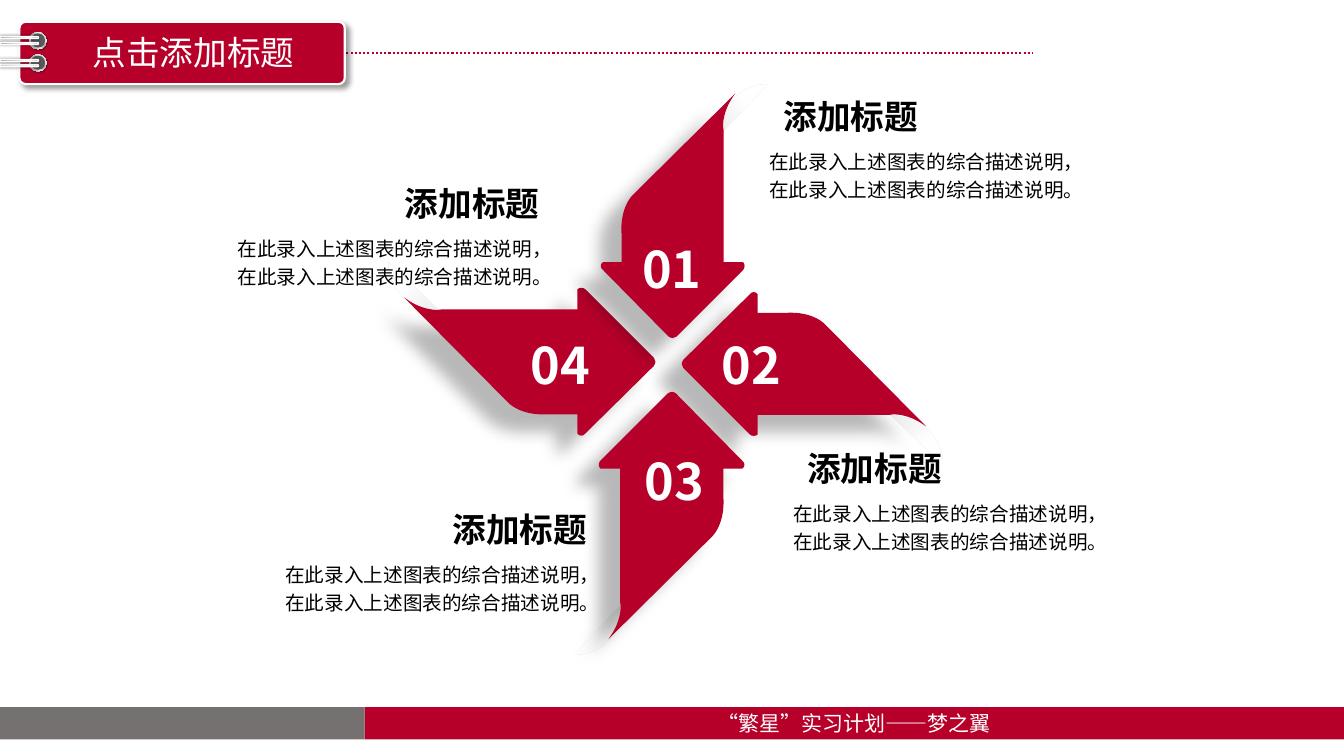
from dataclasses import dataclass
from math import cos, radians, sin

from pptx import Presentation
from pptx.dml.color import RGBColor
from pptx.enum import dml, shapes, text
from pptx.oxml import ns, parse_xml
from pptx.util import Cm, Pt

FONT = "Noto Sans CJK SC"
HEADING = "添加标题"
DESCRIPTION = "在此录入上述图表的综合描述说明，在此录入上述图表的综合描述说明。"
COLORS = {"red": "B6002A", "grey": "767171", "core": "595959", "white": "FFFFFF", "black": "000000"}

# Gradient stops: position, colour, opacity (positions and opacities in percent)
RING_STOPS = [(0, "FFFFFF", 100), (17, "A6A6A6", 100), (35, "F2F2F2", 100),
              (55, "A6A6A6", 100), (75, "F2F2F2", 100), (100, "A6A6A6", 100)]
WIRE_STOPS = [(0, "808080", 100), (23, "A6A6A6", 100), (52, "D9D9D9", 100),
              (74, "FFFFFF", 100), (100, "A6A6A6", 100)]
CURL_STOPS = [(0, "B0B0B0", 24), (59, "FFFFFF", 27)]

# Outlines of a wing pointing right: (x, y) is a corner,
# six numbers are a curve (two controls and its end).
ARROW = [(-.70, .71), (-.02, .04), (0, .01, 0, -.02, -.02, -.04), (-.70, -.72),
         (-.72, -.74, -.76, -.74, -.78, -.72), (-.78, -.52), (-2.13, -.52),
         (-2.13, -.52, -2.17, -.51, -2.23, -.52), (-2.35, -.54, -2.43, -.59, -2.50, -.64),
         (-1.47, .40), (-1.47, .40, -1.35, .54, -1.06, .52), (-.78, .52), (-.78, .71),
         (-.76, .74, -.72, .74, -.70, .71)]
CURL = [(0, 0), (-.53, -.50), (-.53, -.50, -.54, -.33, -.42, -.19),
        (-.40, -.16, -.38, -.14, -.35, -.12), (-.29, -.07, -.20, -.03, -.09, -.01),
        (-.06, 0, -.03, 0, 0, 0)]


@dataclass(frozen=True)
class Shadow:
    opacity: int
    blur: float
    distance: float
    angle: int


@dataclass(frozen=True)
class Wing:
    label: str
    direction: int  # 1 draws the outline pointing right, -1 pointing left
    rotation: int
    scale: float  # centimetres per outline unit
    tip: tuple[float, float]
    curl: tuple[float, float]
    number: tuple[float, float]
    heading: tuple[float, float]
    body: tuple[float, float]
    body_width: float
    curl_on_top: bool = False


TITLE_SHADOW = Shadow(40, 4, 3, 45)
RING_SHADOW = Shadow(40, 1, 1, 45)
WIRE_SHADOW = Shadow(40, 2, 0, 0)
WING_SHADOW = Shadow(28, 11.8, 19.7, 141)

WINGS = [
    Wing("04", 1, 0, 2.54, (16.53, 9.12), (11.13, 7.87), (13.13, 8.29), (9.6, 4.48), (5.74, 5.72), 8.38),
    Wing("02", -1, 0, 2.47, (17.17, 9.17), (22.45, 10.46), (17.93, 8.29), (19.74, 11.17),
         (19.74, 12.4), 8, curl_on_top=True),
    Wing("01", -1, 270, 2.47, (16.95, 8.53), (18.11, 3.43), (15.93, 5.87), (19.14, 2.29), (19.14, 3.53), 8),
    Wing("03", -1, 90, 2.5, (16.93, 9.86), (15.72, 15.16), (16, 11.23), (10.8, 12.7), (6.94, 13.94), 8.38),
]


def rgb(name: str) -> RGBColor:
    return RGBColor.from_string(COLORS[name])


def set_gradient(shape, stops: list, angle: int) -> None:
    shape.fill.gradient()
    properties = shape._element.spPr
    stop_xml = "".join(
        f'<a:gs pos="{position * 1000}"><a:srgbClr val="{color}">'
        f'<a:alpha val="{opacity * 1000}"/></a:srgbClr></a:gs>' for position, color, opacity in stops)
    gradient = parse_xml(
        f'<a:gradFill {ns.nsdecls("a")} rotWithShape="1"><a:gsLst>{stop_xml}</a:gsLst>'
        f'<a:lin ang="{angle * 60000}" scaled="0"/></a:gradFill>')
    properties.replace(properties.find(ns.qn("a:gradFill")), gradient)


def finish(shape, fill: str = "", line: str = "", line_width: float = 1, stops: list | None = None,
           gradient_angle: int = 0, shadow: Shadow | None = None) -> None:
    if stops:
        set_gradient(shape, stops, gradient_angle)
    else:
        shape.fill.solid()
        shape.fill.fore_color.rgb = rgb(fill)
    if line:
        shape.line.color.rgb = rgb(line)
        shape.line.width = Pt(line_width)
    else:
        shape.line.fill.background()
    shape.shadow.inherit = False
    if shadow:
        shape._element.spPr.find(ns.qn("a:effectLst")).append(parse_xml(
            f'<a:outerShdw {ns.nsdecls("a")} blurRad="{Pt(shadow.blur)}" dist="{Pt(shadow.distance)}" '
            f'dir="{shadow.angle * 60000}" algn="ctr" rotWithShape="0"><a:srgbClr val="{COLORS["black"]}">'
            f'<a:alpha val="{shadow.opacity * 1000}"/></a:srgbClr></a:outerShdw>'))


def add_preset(slide, kind, left: float, top: float, width: float, height: float,
               rotation: int = 0, corner: float | None = None, **style) -> None:
    shape = slide.shapes.add_shape(kind, Cm(left), Cm(top), Cm(width), Cm(height))
    shape.rotation = rotation
    if corner is not None:
        shape.adjustments[0] = corner
    finish(shape, **style)


def add_text(slide, content: str, left: float, top: float, width: float, height: float, *,
             size: float, color: str = "black", bold: bool = False, centered: bool = False,
             wrap: bool = True, spacing: float | None = None) -> None:
    box = slide.shapes.add_textbox(Cm(left), Cm(top), Cm(width), Cm(height))
    frame = box.text_frame
    frame.word_wrap = wrap
    frame.auto_size = text.MSO_AUTO_SIZE.SHAPE_TO_FIT_TEXT
    paragraph = frame.paragraphs[0]
    paragraph.alignment = text.PP_ALIGN.CENTER if centered else text.PP_ALIGN.LEFT
    if spacing:
        paragraph.line_spacing = spacing
    run = paragraph.add_run()
    run.text = content
    run.font.size, run.font.bold, run.font.name = Pt(size), bold, FONT
    run.font.color.rgb = rgb(color)
    run.font._element.append(parse_xml(f'<a:ea {ns.nsdecls("a")} typeface="{FONT}"/>'))


def add_outline(slide, outline: list, origin: tuple[float, float], wing: Wing, **style) -> None:
    origin_x, origin_y = Cm(origin[0]), Cm(origin[1])
    unit = wing.direction * Cm(wing.scale)

    def place(x: float, y: float) -> tuple[int, int]:
        return round(origin_x + unit * x), round(origin_y + unit * y)

    # Straight outline through the end of each segment
    ends = [place(*segment[-2:]) for segment in outline]
    builder = slide.shapes.build_freeform(*ends[0])
    builder.add_line_segments(ends[1:], close=True)
    shape = builder.convert_to_shape()

    # Curved segments
    lines = list(shape._element.iter(ns.qn("a:lnTo")))
    for segment, straight in zip(outline[1:], lines):
        if len(segment) == 6:
            points = [place(*segment[index:index + 2]) for index in (0, 2, 4)]
            point_xml = "".join(f'<a:pt x="{x - shape.left}" y="{y - shape.top}"/>' for x, y in points)
            straight.getparent().replace(straight, parse_xml(
                f'<a:cubicBezTo {ns.nsdecls("a")}>{point_xml}</a:cubicBezTo>'))

    # Turn about the origin instead of the shape's centre
    cosine, sine = cos(radians(wing.rotation)), sin(radians(wing.rotation))
    x = shape.left + shape.width / 2 - origin_x
    y = shape.top + shape.height / 2 - origin_y
    shape.left = round(origin_x + x * cosine - y * sine - shape.width / 2)
    shape.top = round(origin_y + x * sine + y * cosine - shape.height / 2)
    shape.rotation = wing.rotation
    finish(shape, **style)


def add_wing(slide, wing: Wing) -> None:
    curl_angle = 225 if wing.direction == 1 else 45
    parts = [(CURL, wing.curl, {"stops": CURL_STOPS, "gradient_angle": curl_angle}),
             (ARROW, wing.tip, {"fill": "red", "shadow": WING_SHADOW})]
    for outline, origin, style in reversed(parts) if wing.curl_on_top else parts:
        add_outline(slide, outline, origin, wing, **style)


def main() -> None:
    presentation = Presentation()
    presentation.slide_width, presentation.slide_height = Cm(33.87), Cm(19.05)
    slide = presentation.slides.add_slide(presentation.slide_layouts[6])
    kinds = shapes.MSO_SHAPE

    # Footer
    add_preset(slide, kinds.RECTANGLE, 9.19, 17.82, 24.68, 0.81, fill="red")
    add_text(slide, "“繁星”实习计划——梦之翼", 17.76, 17.78, 7.54, 0.89,
             size=15, color="white", centered=True, wrap=False)

    # Title plate with dotted rule
    rule = slide.shapes.add_connector(shapes.MSO_CONNECTOR.STRAIGHT, Cm(8.41), Cm(1.33), Cm(26.01), Cm(1.33))
    rule.line.color.rgb, rule.line.width = rgb("red"), Pt(1.5)
    rule.line.dash_style = dml.MSO_LINE.ROUND_DOT
    rule._element.spPr.append(parse_xml(f'<a:effectLst {ns.nsdecls("a")}/>'))
    add_preset(slide, kinds.ROUNDED_RECTANGLE, 0.49, 0.55, 8.2, 1.57, corner=0.1,
               fill="red", line="white", line_width=1.5, shadow=TITLE_SHADOW)

    # Binder rings and wires
    for top in (1.37, 0.81):
        add_preset(slide, kinds.OVAL, 0.74, top, 0.43, 0.43, rotation=270,
                   stops=RING_STOPS, gradient_angle=45, shadow=RING_SHADOW)
        add_preset(slide, kinds.OVAL, 0.78, top + 0.03, 0.36, 0.36, rotation=270, fill="core")
    for top in (1.17, 1.04, 0.61, 0.46):
        add_preset(slide, kinds.ROUNDED_RECTANGLE, 0.46, top, 0.05, 0.97, rotation=270, corner=0.5,
                   stops=WIRE_STOPS, gradient_angle=90, line="white", shadow=WIRE_SHADOW)
    add_preset(slide, kinds.RECTANGLE, 0, 17.82, 9.19, 0.81, fill="grey")

    # Pinwheel, then its numbers and descriptions
    for wing in WINGS:
        add_wing(slide, wing)
    for wing in WINGS:
        add_text(slide, wing.label, *wing.number, 2.11, 1.8, size=36, color="white", bold=True, wrap=False)
        add_text(slide, HEADING, *wing.heading, 4.6, 1.27, size=24, bold=True, centered=True)
        add_text(slide, DESCRIPTION, *wing.body, wing.body_width, 1.7, size=14, spacing=1.2)

    add_text(slide, "点击添加标题", 2.06, 0.69, 5.64, 1.27, size=24, color="white", centered=True, wrap=False)
    presentation.save("out.pptx")


if __name__ == "__main__":
    main()
